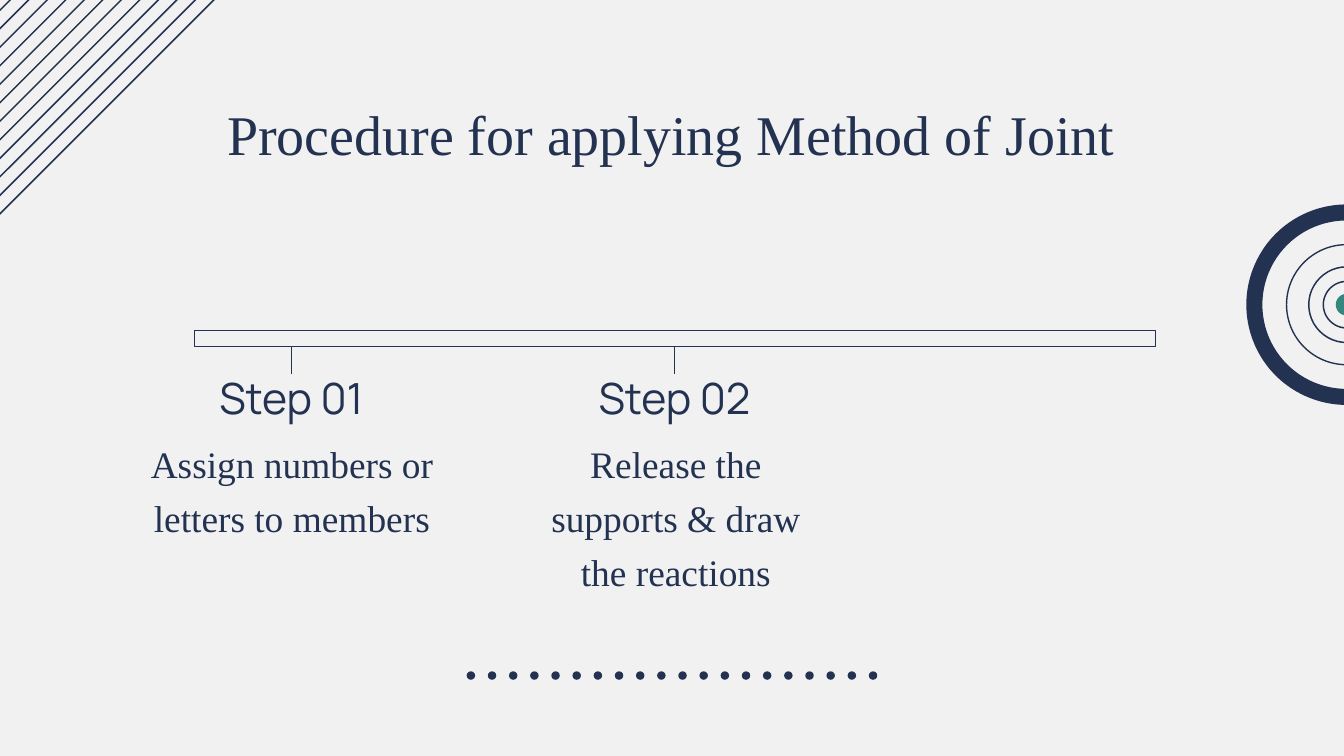
from dataclasses import dataclass

from lxml.etree import SubElement
from pptx import Presentation
from pptx.dml.color import RGBColor
from pptx.enum.shapes import MSO_CONNECTOR as Connector, MSO_SHAPE as Shape
from pptx.enum.text import MSO_ANCHOR as Anchor, MSO_AUTO_SIZE as AutoSize, PP_ALIGN as Align
from pptx.oxml.ns import qn
from pptx.util import Cm, Pt

COLORS = {"paper": "F1F1F1", "navy": "233251", "green": "36867D"}
SERIF = "Times New Roman"
SANS = "Manrope"


@dataclass
class Step:
    heading: str
    heading_left: float
    text: str
    text_left: float
    text_width: float


@dataclass
class Ring:
    diameter: float
    fill: str | None = None
    line: float | None = None
    kind: Shape = Shape.OVAL


STEPS = [
    Step("Step 01", 2.54, "Assign numbers or letters to members", 2.13, 6.78),
    Step("Step 02", 9.78, "Release the supports & draw the reactions", 9.75, 6.05),
]
RINGS = [
    Ring(2.27, line=0.75),
    Ring(1.43, line=0.78),
    Ring(0.41, fill="green"),
    Ring(0.88, line=0.78),
    Ring(3.79, fill="navy", kind=Shape.DONUT),
]
BAR_TOP, BAR_HEIGHT = 6.25, 0.3
HEADING_TOP, HEADING_WIDTH, HEADING_HEIGHT = 7.06, 5.94, 1.19
TARGET_X, TARGET_Y = 25.45, 5.76
STRIPE_COUNT, STRIPE_GAP, STRIPE_SPAN = 12, 0.35, 5.55
DOT_COUNT, DOT_GAP, DOT_SIZE = 20, 0.4, 0.16


def rgb(name: str) -> RGBColor:
    return RGBColor.from_string(COLORS[name])


def add_figure(s, kind: Shape, left: float, top: float, width: float, height: float,
               fill: str | None = None, line: float | None = None):
    sp = s.shapes.add_shape(kind, Cm(left), Cm(top), Cm(width), Cm(height))
    sp.shadow.inherit = False
    if fill:
        sp.fill.solid()
        sp.fill.fore_color.rgb = rgb(fill)
    else:
        sp.fill.background()
    if line:
        sp.line.color.rgb = rgb("navy")
        sp.line.width = Pt(line)
    else:
        sp.line.fill.background()
    return sp


def add_line(s, x1: float, y1: float, x2: float, y2: float, width: float):
    line = s.shapes.add_connector(Connector.STRAIGHT, Cm(x1), Cm(y1), Cm(x2), Cm(y2))
    line.line.color.rgb = rgb("navy")
    line.line.width = Pt(width)
    SubElement(line._element.spPr, qn("a:effectLst"))
    return line


def write(sp, text: str, *, size: float, font: str = SERIF, anchor: Anchor = Anchor.TOP,
          spacing: float = 1.0, top_inset: float = 0.25) -> None:
    tf = sp.text_frame
    tf.word_wrap = True
    tf.auto_size = AutoSize.NONE
    tf.vertical_anchor = anchor
    tf.margin_left = tf.margin_right = tf.margin_bottom = Cm(0.25)
    tf.margin_top = Cm(top_inset)
    p = tf.paragraphs[0]
    p.alignment = Align.CENTER
    p.line_spacing = spacing
    r = p.add_run()
    r.text = text
    r.font.name = font
    r.font.size = Pt(size)
    r.font.color.rgb = rgb("navy")


def add_stripes(s) -> None:
    for i in range(STRIPE_COUNT):
        x = -0.1 - i * STRIPE_GAP
        add_line(s, x, 4.14, x + STRIPE_SPAN, 4.14 - STRIPE_SPAN, 0.78)


def add_dots(s) -> None:
    for i in range(DOT_COUNT):
        add_figure(s, Shape.OVAL, 8.82 + i * DOT_GAP, 12.69, DOT_SIZE, DOT_SIZE, fill="navy")


def add_target(s) -> None:
    for ring in RINGS:
        d = ring.diameter
        sp = add_figure(s, ring.kind, TARGET_X - d / 2, TARGET_Y - d / 2, d, d,
                        fill=ring.fill, line=ring.line)
        if ring.kind == Shape.DONUT:
            sp.adjustments[0] = 0.08


def add_step(s, step: Step) -> None:
    heading = s.shapes.add_textbox(Cm(step.heading_left), Cm(HEADING_TOP),
                                   Cm(HEADING_WIDTH), Cm(HEADING_HEIGHT))
    write(heading, step.heading, size=23, font=SANS, anchor=Anchor.BOTTOM)
    body = s.shapes.add_textbox(Cm(step.text_left), Cm(7.9), Cm(step.text_width), Cm(1.3))
    write(body, step.text, size=20, spacing=1.2, top_inset=0.28)
    x = step.heading_left + HEADING_WIDTH / 2
    tick = add_line(s, x, HEADING_TOP, x, BAR_TOP + BAR_HEIGHT, 0.75)
    tick.begin_connect(heading, 0)


def main() -> None:
    prs = Presentation()
    prs.slide_width, prs.slide_height = Cm(25.4), Cm(14.29)
    s = prs.slides.add_slide(prs.slide_layouts[5])
    s.background.fill.solid()
    s.background.fill.fore_color.rgb = rgb("paper")

    add_stripes(s)
    add_dots(s)
    add_target(s)

    title = s.shapes.title
    title.left, title.top, title.width, title.height = Cm(2.41), Cm(1.5), Cm(20.55), Cm(1.6)
    write(title, "Procedure for applying Method of Joint", size=30, top_inset=0.38)

    add_figure(s, Shape.RECTANGLE, 3.68, BAR_TOP, 18.16, BAR_HEIGHT, line=0.75)
    for step in STEPS:
        add_step(s, step)
    prs.save("out.pptx")


if __name__ == "__main__":
    main()
